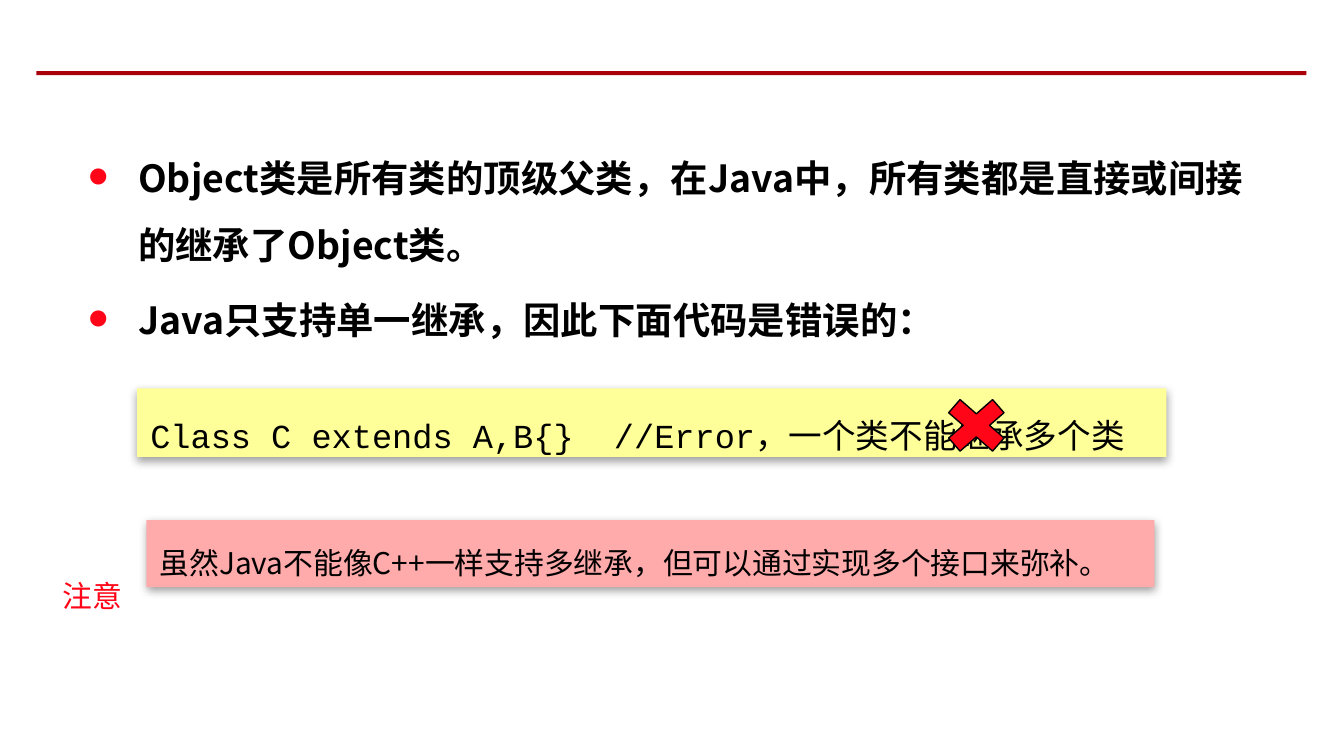
from dataclasses import dataclass

from lxml import etree
from pptx import Presentation
from pptx.dml.color import RGBColor
from pptx.enum.shapes import MSO_SHAPE
from pptx.enum.text import MSO_ANCHOR, PP_ALIGN
from pptx.oxml import parse_xml
from pptx.oxml.ns import qn
from pptx.util import Inches, Pt

RECT = MSO_SHAPE.RECTANGLE
CROSS = MSO_SHAPE.MATH_MULTIPLY
TOP = MSO_ANCHOR.TOP
LEFT = PP_ALIGN.LEFT
SHADOW = (
    '<a:effectLst xmlns:a="http://schemas.openxmlformats.org/drawingml/2006/main">'
    '<a:outerShdw blurRad="63500" dist="20320" dir="5400000" rotWithShape="0">'
    '<a:srgbClr val="000000"><a:alpha val="38000"/></a:srgbClr>'
    '</a:outerShdw></a:effectLst>'
)


@dataclass(frozen=True)
class Theme:
    rule: str = "AA000B"
    red: str = "FF0517"
    pink: str = "FFAAAB"
    yellow: str = "FFFF99"
    black: str = "000000"
    sans: str = "Noto Sans CJK SC"
    mono: str = "Courier New"
    large: int = 20
    medium: int = 18
    small: int = 16


def write(para, text, theme, size, color=None, font=None, bold=False, space=None, before=0):
    para.alignment = LEFT
    para.line_spacing = space
    para.space_before = Pt(before)
    run = para.add_run()
    run.text = text
    run.font.size = Pt(size)
    run.font.bold = bold
    run.font.name = font or theme.sans
    run.font.color.rgb = RGBColor.from_string(color or theme.black)
    etree.SubElement(run.font._element, qn("a:ea"), typeface=theme.sans)


class Page:
    """Draws styled elements on one slide."""

    def __init__(self, slide, theme):
        self.shapes = slide.shapes
        self.theme = theme

    def shape(self, kind, box, fill, line=None):
        shape = self.shapes.add_shape(kind, *map(Inches, box))
        shape.shadow.inherit = False
        shape.fill.solid()
        shape.fill.fore_color.rgb = RGBColor.from_string(fill)
        if line:
            shape.line.color.rgb = RGBColor.from_string(line)
            shape.line.width = Pt(0.75)
        else:
            shape.line.fill.background()
        return shape

    def panel(self, text, box, fill, **style):
        shape = self.shape(RECT, box, fill)
        props = shape._element.spPr
        props.replace(props.find(qn("a:effectLst")), parse_xml(SHADOW))
        frame = shape.text_frame
        frame.word_wrap = True
        frame.vertical_anchor = TOP
        write(frame.paragraphs[0], text, self.theme, space=1.5, **style)

    def label(self, text, box, **style):
        frame = self.shapes.add_textbox(*map(Inches, box)).text_frame
        frame.word_wrap = False
        write(frame.paragraphs[0], text, self.theme, **style)

    def bullets(self, items, box):
        frame = self.shapes.add_textbox(*map(Inches, box)).text_frame
        frame.word_wrap = True
        for index, text in enumerate(items):
            para = frame.add_paragraph() if index else frame.paragraphs[0]
            write(para, text, self.theme, self.theme.large, bold=True, space=1.5, before=4)
            props = para._p.get_or_add_pPr()
            indent = Inches(0.38)
            props.set("marL", str(indent))
            props.set("indent", str(-indent))
            color = etree.SubElement(props, qn("a:buClr"))
            etree.SubElement(color, qn("a:srgbClr"), val=self.theme.red)
            etree.SubElement(props, qn("a:buFont"), typeface=self.theme.mono)
            etree.SubElement(props, qn("a:buChar"), char="●")


def main():
    theme = Theme()
    deck = Presentation()
    deck.slide_width = Inches(10)
    deck.slide_height = deck.slide_width * 9 // 16
    page = Page(deck.slides.add_slide(deck.slide_layouts[6]), theme)

    page.shape(RECT, (0.27, 0.53, 9.45, 0.03), theme.rule)
    page.bullets(
        [
            "Object类是所有类的顶级父类，在Java中，所有类都是直接或间接的继承了Object类。",
            "Java只支持单一继承，因此下面代码是错误的：",
        ],
        (0.55, 0.94, 8.98, 2.58),
    )
    page.panel(
        "虽然Java不能像C++一样支持多继承，但可以通过实现多个接口来弥补。",
        (1.09, 3.87, 7.5, 0.5), theme.pink, size=theme.small, before=3.2,
    )
    page.panel(
        "Class C extends A,B{}  //Error，一个类不能继承多个类",
        (1.02, 2.89, 7.66, 0.51), theme.yellow, size=theme.medium, font=theme.mono,
    )
    page.shape(CROSS, (6.95, 2.89, 0.63, 0.55), theme.red, theme.black)
    page.label("注意", (0.37, 4.25, 0.65, 0.37), size=theme.small, color=theme.red)
    deck.save("out.pptx")


if __name__ == "__main__":
    main()
